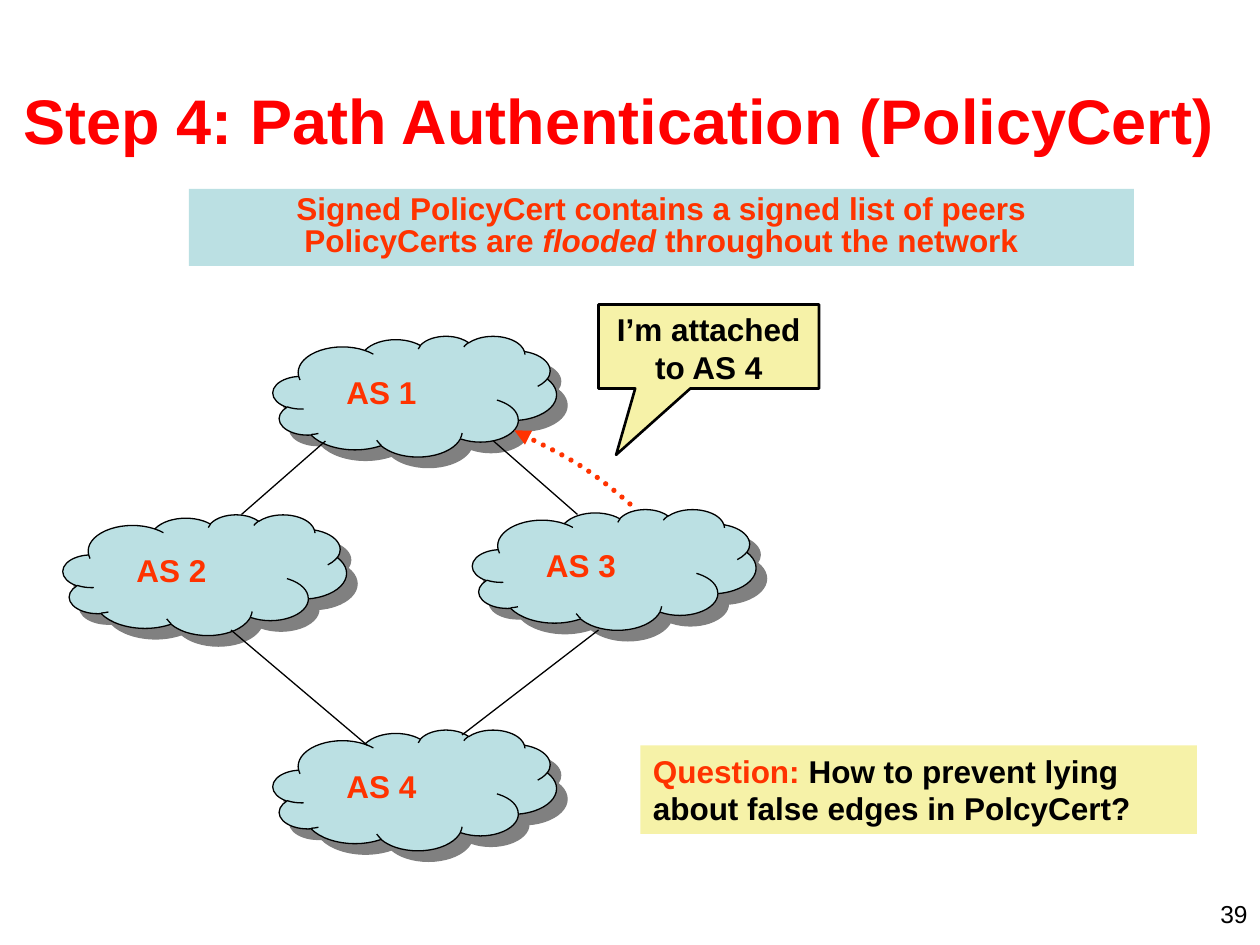
from lxml import etree
from pptx import Presentation
from pptx.dml.color import RGBColor
from pptx.enum import dml, shapes, text
from pptx.oxml import parse_xml
from pptx.oxml.ns import nsdecls, qn
from pptx.util import Pt

COLORS = {"title": "FF0000", "accent": "FF3300", "ink": "000000",
          "cloud": "BBE0E3", "note": "F6F2A8", "shadow": "808080"}
WIDE, TIGHT = (7.2, 3.6), (6, 3)  # side and top insets


class SlideBuilder:
    font = "Arial"
    size = 18

    def __init__(self, slide):
        self.slide = slide

    def color(self, name):
        return RGBColor.from_string(COLORS[name])

    def set_text(self, shape, runs, insets=WIDE, align=text.PP_ALIGN.LEFT,
                 anchor=text.MSO_ANCHOR.TOP, wrap=True, spacing=None):
        """Fill a shape with (text, format) runs; a newline is a line break."""
        frame = shape.text_frame
        side, top = map(Pt, insets)
        layout = {"margin_left": side, "margin_right": side, "margin_top": top,
                  "margin_bottom": top, "vertical_anchor": anchor,
                  "word_wrap": wrap, "auto_size": text.MSO_AUTO_SIZE.NONE}
        for name, value in layout.items():
            setattr(frame, name, value)
        paragraph = frame.paragraphs[0]
        paragraph.alignment = align
        paragraph.line_spacing = spacing
        for words, changes in runs:
            style = {"name": self.font, "size": self.size, "bold": True,
                     "italic": False, "color": "accent"} | changes
            color, size = style.pop("color"), style.pop("size")
            for i, line in enumerate(words.split("\n")):
                if i:
                    paragraph.add_line_break()
                run = paragraph.add_run()
                run.text = line
                for name, value in style.items():
                    setattr(run.font, name, value)
                run.font.size = Pt(size)
                run.font.color.rgb = self.color(color)

    def title(self, box, words):
        title = self.slide.shapes.title
        title.left, title.top, title.width, title.height = map(Pt, box)
        self.set_text(title, [(words, {"size": 36, "color": "title"})],
                      anchor=text.MSO_ANCHOR.MIDDLE)

    def label(self, box, runs, parent=None, **layout):
        shape = (parent or self.slide).shapes.add_textbox(*map(Pt, box))
        self.set_text(shape, runs, **layout)

    def box(self, kind, box, fill, line=None, parent=None):
        shape = (parent or self.slide).shapes.add_shape(kind, *map(Pt, box))
        shape.shadow.inherit = False
        shape.fill.solid()
        shape.fill.fore_color.rgb = self.color(fill)
        if line:
            shape.line.color.rgb = self.color("ink")
            shape.line.width = Pt(line)
        else:
            shape.line.fill.background()
        return shape

    def cloud(self, left, top, name):
        group = self.slide.shapes.add_group_shape()
        cloud = self.box(shapes.MSO_SHAPE.CLOUD, (left, top, 162, 69),
                         "cloud", 0.75, group)
        effects = cloud._element.spPr.find(qn("a:effectLst"))
        effects.append(parse_xml(
            f'<a:outerShdw {nsdecls("a")} dist="{Pt(8.5)}" dir="2700000" '
            f'algn="ctr" rotWithShape="0"><a:srgbClr val="{COLORS["shadow"]}"/>'
            '</a:outerShdw>'))
        self.label((left + 36, top + 18, 52, 27), [(name, {})], group,
                   insets=TIGHT, wrap=False)

    def link(self, *ends):
        link = self.slide.shapes.add_connector(
            shapes.MSO_CONNECTOR.STRAIGHT, *map(Pt, ends))
        link.line.color.rgb = self.color("ink")
        link.line.width = Pt(0.75)
        etree.SubElement(link._element.spPr, qn("a:effectLst"))

    def dotted_arrow(self, start, *points):
        """Draw a dotted Bezier arrow; every three points make one segment."""
        builder = self.slide.shapes.build_freeform(*map(Pt, start))
        builder.add_line_segments([tuple(map(Pt, p)) for p in points],
                                  close=False)
        arrow = builder.convert_to_shape()
        arrow.shadow.inherit = False
        arrow.fill.background()
        arrow.line.color.rgb = self.color("accent")
        arrow.line.width = Pt(3)
        arrow.line.dash_style = dml.MSO_LINE.ROUND_DOT
        # Turn straight segments into curves
        steps = list(arrow._element.iter(qn("a:lnTo")))
        for i in range(0, len(steps), 3):
            curve = etree.Element(qn("a:cubicBezTo"))
            steps[i].addprevious(curve)
            for step in steps[i:i + 3]:
                curve.append(step[0])
                step.getparent().remove(step)
        # Round dots and arrowhead
        line = arrow._element.spPr.find(qn("a:ln"))
        line.set("cap", "rnd")
        etree.SubElement(line, qn("a:round"))
        etree.SubElement(line, qn("a:tailEnd"), type="triangle")


def main():
    deck = Presentation()
    deck.slide_width, deck.slide_height = Pt(720), Pt(540)
    page = SlideBuilder(deck.slides.add_slide(deck.slide_layouts[5]))

    # Title and banner
    page.title((6, 23, 720, 90), "Step 4: Path Authentication (PolicyCert)")
    banner = page.box(shapes.MSO_SHAPE.RECTANGLE, (108, 108, 540, 44), "cloud")
    page.set_text(banner, [
        ("Signed PolicyCert contains a signed list of peers\nPolicyCerts are ", {}),
        ("flooded", {"italic": True}),
        (" throughout the network", {})],
        align=text.PP_ALIGN.CENTER, spacing=0.85)

    # Autonomous systems and their links
    for left, top, name in ((156, 192, "AS 1"), (270, 291, "AS 3"),
                            (36, 294, "AS 2"), (156, 417, "AS 4")):
        page.cloud(left, top, name)
    for ends in ((186, 252, 138, 294), (282, 252, 330, 294),
                 (132, 360, 210, 426), (342, 360, 264, 420)):
        page.link(*ends)

    # Question
    question = page.box(shapes.MSO_SHAPE.RECTANGLE, (366, 426, 318, 50.5), "note")
    page.set_text(question, [
        ("Question:", {}),
        (" How to prevent lying about false edges in PolcyCert?",
         {"color": "ink"})])

    # Claim sent from AS 3 to AS 1
    claim = page.box(shapes.MSO_SHAPE.RECTANGULAR_CALLOUT,
                     (342, 174, 126, 48), "note", 1.5)
    claim.adjustments[0], claim.adjustments[1] = -0.42, 1.29
    page.set_text(claim, [("I’m attached to AS 4", {"color": "ink"})],
                  insets=TIGHT, align=text.PP_ALIGN.CENTER)
    page.dotted_arrow((360, 288), (352, 281), (343.5, 274), (333, 267),
                      (322, 260), (307.5, 253), (294, 246))

    # Page number
    page.label((552, 510, 168, 18),
               [("39", {"size": 14, "bold": False, "color": "ink"})],
               align=text.PP_ALIGN.RIGHT)

    deck.save("out.pptx")


if __name__ == "__main__":
    main()
